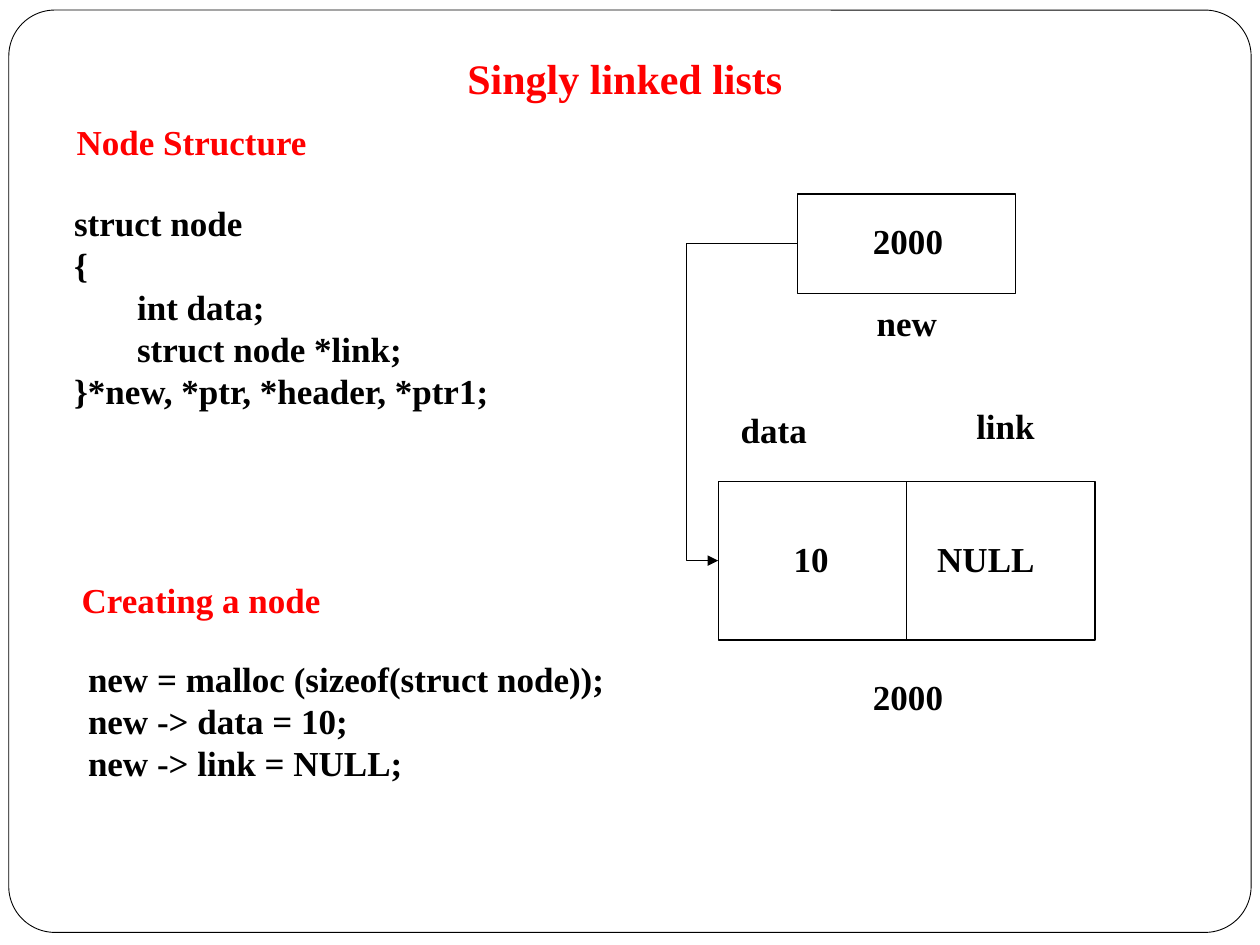
from lxml import etree
from pptx import Presentation
from pptx import util as u
from pptx.dml.color import RGBColor
from pptx.enum import shapes, text
from pptx.oxml import ns

WIDTH, HEIGHT = u.Inches(10), u.Inches(7.5)
COLUMNS, ROWS = 100, 75
FONT = "Times New Roman"
RED, BLACK, WHITE = "FF0000", "000000", "FFFFFF"


def col(n):
    return round(WIDTH * n / COLUMNS)


def row(n):
    return round(HEIGHT * n / ROWS)


def place(left, top, width, height):
    return col(left), row(top), col(width), row(height)


def rgb(color):
    return RGBColor.from_string(color)


def style(paragraph, size, color):
    font = paragraph.font
    font.name, font.size, font.bold = FONT, u.Pt(size), True
    font.color.rgb = rgb(color)


def add_title(slide, wording):
    title = slide.shapes.title
    title.left, title.top, title.width, title.height = place(7.5, 4.4, 84.2, 4.8)
    frame = title.text_frame
    frame.text = wording
    frame.auto_size = text.MSO_AUTO_SIZE.NONE
    frame.vertical_anchor = text.MSO_ANCHOR.BOTTOM
    frame.margin_bottom = u.Inches(0.1)
    frame.paragraphs[0].alignment = text.PP_ALIGN.CENTER
    style(frame.paragraphs[0], 24, RED)


def add_text(slide, left, top, width, wording, color=BLACK):
    lines = wording.split("\n")
    height = 1 + 10 / 3 * len(lines)
    frame = slide.shapes.add_textbox(*place(left, top, width, height)).text_frame
    frame.word_wrap = False
    frame.auto_size = text.MSO_AUTO_SIZE.SHAPE_TO_FIT_TEXT
    frame.text = wording
    for paragraph in frame.paragraphs:
        paragraph.line_spacing = u.Pt(24)
        style(paragraph, 20, color)


def add_box(slide, left, top, width, height, fill=WHITE, weight=0.75,
            kind=shapes.MSO_SHAPE.RECTANGLE):
    box = slide.shapes.add_shape(kind, *place(left, top, width, height))
    box.shadow.inherit = False
    if fill:
        box.fill.solid()
        box.fill.fore_color.rgb = rgb(fill)
    else:
        box.fill.background()
    box.line.color.rgb = rgb(BLACK)
    box.line.width = u.Pt(weight)
    return box


def add_line(slide, kind, x1, y1, x2, y2):
    line = slide.shapes.add_connector(kind, col(x1), row(y1), col(x2), row(y2))
    line.line.color.rgb = rgb(BLACK)
    line.line.width = u.Pt(0.75)
    etree.SubElement(line._element.spPr, ns.qn("a:effectLst"))
    return line


def add_pointer(slide, x1, y1, x2, y2, bend):
    pointer = add_line(slide, shapes.MSO_CONNECTOR.ELBOW, x1, y1, x2, y2)
    properties = pointer._element.spPr
    adjustments = properties.find(".//" + ns.qn("a:avLst"))
    share = round((x1 - bend) / (x1 - x2) * 100000)
    etree.SubElement(adjustments, ns.qn("a:gd"), name="adj1", fmla=f"val {share}")
    outline = properties.find(ns.qn("a:ln"))
    etree.SubElement(outline, ns.qn("a:tailEnd"), type="triangle")


def add_code(slide):
    add_text(slide, 5.1, 9.1, 20.4, "Node Structure", RED)
    add_text(slide, 4.9, 15.5, 35.6,
             "struct node\n{\n\tint data;\n\tstruct node *link;\n"
             "}*new, *ptr, *header, *ptr1;")
    add_text(slide, 5.5, 45.4, 21.2, "Creating a node", RED)
    add_text(slide, 6, 51.7, 43.2,
             "new = malloc (sizeof(struct node));\n"
             "new -> data = 10;\nnew -> link = NULL;")


def add_diagram(slide):
    node_left, node_top, node_width, node_height = 57, 38.2, 29.9, 12.6
    new_left, new_top, new_width, new_height = 63.3, 15.4, 17.3, 7.9
    divider = node_left + node_width / 2
    add_box(slide, node_left, node_top, node_width, node_height)
    add_box(slide, new_left, new_top, new_width, new_height)
    add_line(slide, shapes.MSO_CONNECTOR.STRAIGHT,
             divider, node_top, divider, node_top + node_height)
    add_pointer(slide, new_left, new_top + new_height / 2,
                node_left, node_top + node_height / 2, bend=54.5)
    for left, top, width, label in (
        (68.3, 16.9, 7.8, "2000"),
        (68.6, 23.4, 7, "new"),
        (57.8, 31.9, 7.5, "data"),
        (76.5, 31.6, 7, "link"),
        (62, 42.2, 5.1, "10"),
        (73.4, 42.2, 10, "NULL"),
        (68.3, 53.1, 7.8, "2000"),
    ):
        add_text(slide, left, top, width, label)


def main():
    deck = Presentation()
    deck.slide_width, deck.slide_height = WIDTH, HEIGHT
    slide = deck.slides.add_slide(deck.slide_layouts[5])
    border = add_box(slide, 0.7, 0.8, 98.6, 73.2, fill=None, weight=0.5,
                     kind=shapes.MSO_SHAPE.ROUNDED_RECTANGLE)
    border.adjustments[0] = 0.05
    add_title(slide, "Singly linked lists")
    add_code(slide)
    add_diagram(slide)
    deck.save("out.pptx")


if __name__ == "__main__":
    main()
